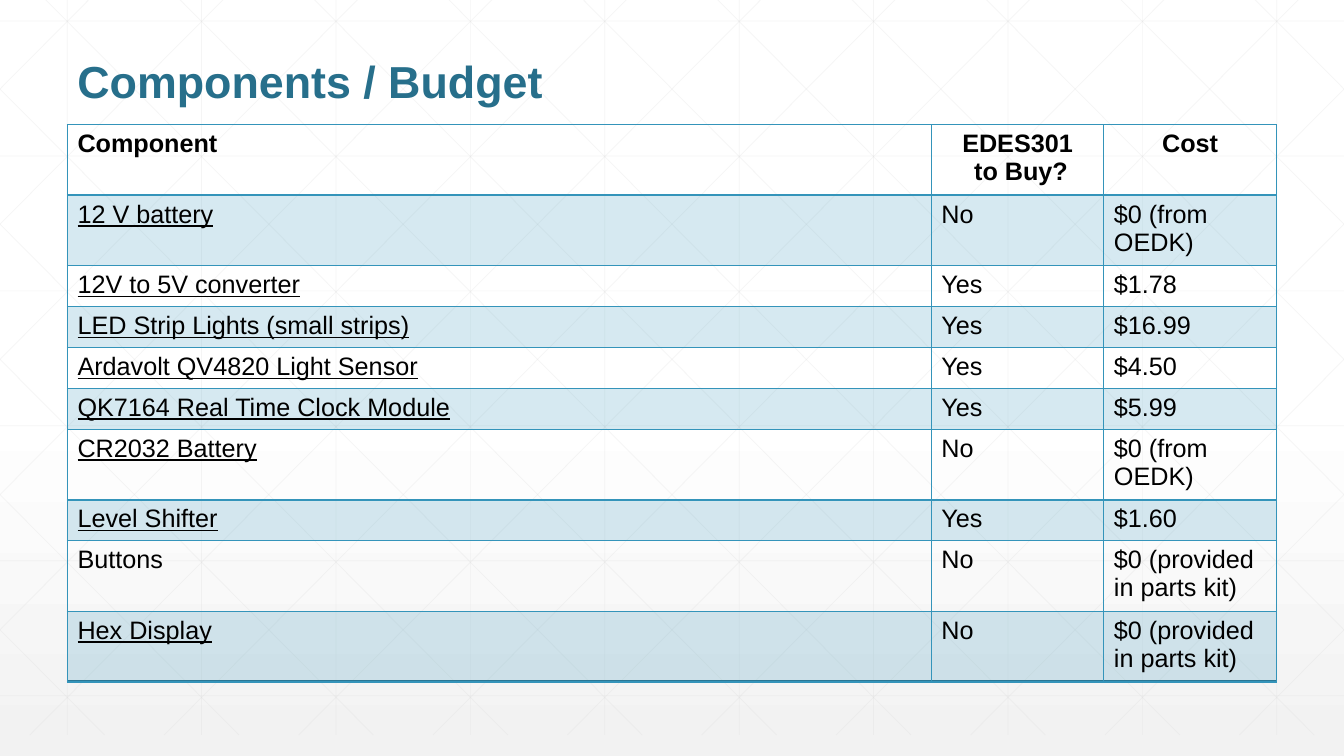
from pptx import Presentation
from pptx import util as u
from pptx.dml.color import RGBColor
from pptx.enum import shapes, text
from pptx.oxml.ns import qn
from lxml import etree
from copy import deepcopy

WHITE = RGBColor(0xFF, 0xFF, 0xFF)
PALE = RGBColor(0xF2, 0xF2, 0xF2)
GREY = RGBColor(0xD9, 0xD9, 0xD9)
TEAL = RGBColor(0x27, 0x6F, 0x8B)
BLUE = RGBColor(0x34, 0x94, 0xBA)
BLACK = RGBColor(0, 0, 0)

WIDE, HIGH = 33.87, 19.05
COLS = [21.77, 4.35, 4.35]
HEAD = [["Component"], ["EDES301", " to Buy?"], ["Cost"]]
ITEMS = [
    ("12 V battery", "No", "$0 (from OEDK)"),
    ("12V to 5V converter", "Yes", "$1.78"),
    ("LED Strip Lights (small strips)", "Yes", "$16.99"),
    ("Ardavolt QV4820 Light Sensor", "Yes", "$4.50"),
    ("QK7164 Real Time Clock Module", "Yes", "$5.99"),
    ("CR2032 Battery", "No", "$0 (from OEDK)"),
    ("Level Shifter", "Yes", "$1.60"),
    ("Buttons", "No", "$0 (provided in parts kit)"),
    ("Hex Display", "No", "$0 (provided in parts kit)"),
]
PLAIN = {"Buttons"}


def fade(node, pct):
    """Set the opacity of the first colour inside a node."""
    clr = node.find(".//" + qn("a:srgbClr"))
    etree.SubElement(clr, qn("a:alpha"), val=str(pct * 1000))


def rule(slide, start, end, color, width):
    """Draw a straight line between two points given in cm."""
    line = slide.shapes.add_connector(
        shapes.MSO_CONNECTOR.STRAIGHT, *[u.Cm(v) for v in (*start, *end)])
    line.line.color.rgb = color
    line.line.width = u.Pt(width)
    etree.SubElement(line._element.spPr, qn("a:effectLst"))
    return line


def shade(slide):
    """Fill the background from white down to pale grey."""
    fill = slide.background.fill
    fill.gradient()
    fill.gradient_angle = 270
    first = slide._element.find(".//" + qn("a:gs"))
    first.addnext(deepcopy(first))
    for stop, (pos, color) in zip(
            fill.gradient_stops, [(0, WHITE), (0.53, WHITE), (1, PALE)]):
        stop.position = pos
        stop.color.rgb = color


def mesh(slide, top, high):
    """Draw the faint grid and its crossing diagonals."""
    gap, base, run = WIDE / 10, top + high, 18.94
    ends = []
    for i in range(10):
        x = gap * (i + 0.5)
        ends.append(((x, top), (x, base)))
    for i in range(6):
        y = 0.53 + 3.4 * i
        ends.append(((0, y), (WIDE, y)))
    slants = []
    for i in range(-5, 10):
        x = 0.63 + gap * i
        left, right = max(x, 0), min(x + run, WIDE)
        slants.append([(p, top + (p - x) * high / run) for p in (left, right)])
    ends += slants
    ends += [[(WIDE - x, y) for x, y in pair] for pair in slants]
    for start, end in ends:
        fade(rule(slide, start, end, GREY, 0.5).line._ln, 25)


def write(para, words, size, color, bold=False, under=False):
    """Add one run of Arial text to a paragraph."""
    run = para.add_run()
    run.text = words
    font = run.font
    font.name, font.size = "Arial", u.Pt(size)
    font.bold, font.underline = bold, under
    font.color.rgb = color


def title(slide, left, top, wide, high):
    """Place the slide title at the bottom of its box."""
    box = slide.shapes.add_textbox(*[u.Cm(v) for v in (left, top, wide, high)])
    frame = box.text_frame
    frame.word_wrap = True
    frame.vertical_anchor = text.MSO_ANCHOR.BOTTOM
    para = frame.paragraphs[0]
    para.line_spacing = 0.9
    write(para, "Components / Budget", 32, TEAL, bold=True)


def edge(cell, row):
    """Outline a cell, with a thicker line below the header."""
    props = cell._tc.get_or_add_tcPr()
    thick = {(0, "B"), (1, "T")}
    for side in "LRTB":
        width = u.Pt(2 if (row, side) in thick else 1)
        line = etree.SubElement(props, qn("a:ln" + side), w=str(width))
        solid = etree.SubElement(line, qn("a:solidFill"))
        etree.SubElement(solid, qn("a:srgbClr"), val=str(BLUE))


def budget(slide, left, top, high):
    """Build the parts table with banded rows."""
    rows = [HEAD] + [[[word] for word in item] for item in ITEMS]
    table = slide.shapes.add_table(
        len(rows), len(COLS), u.Cm(left), u.Cm(top),
        u.Cm(sum(COLS)), u.Cm(high * len(rows))).table
    for col, wide in zip(table.columns, COLS):
        col.width = u.Cm(wide)
    for r, row in enumerate(rows):
        table.rows[r].height = u.Cm(high)
        for c, lines in enumerate(row):
            cell = table.cell(r, c)
            edge(cell, r)
            if r % 2:
                cell.fill.solid()
                cell.fill.fore_color.rgb = BLUE
                fade(cell._tc.tcPr.find(qn("a:solidFill")), 20)
            else:
                cell.fill.background()
            frame = cell.text_frame
            for i, words in enumerate(lines):
                para = frame.add_paragraph() if i else frame.paragraphs[0]
                if r == 0 and c:
                    para.alignment = text.PP_ALIGN.CENTER
                under = r > 0 and c == 0 and words not in PLAIN
                write(para, words, 18, BLACK, r == 0, under)


def main():
    """Build the budget slide and save it."""
    deck = Presentation()
    deck.slide_width, deck.slide_height = u.Cm(WIDE), u.Cm(HIGH)
    slide = deck.slides.add_slide(deck.slide_layouts[6])
    shade(slide)
    mesh(slide, -0.53, HIGH)
    rule(slide, (1.7, 17.14), (32.18, 17.14), TEAL, 1)
    title(slide, 1.7, 0.3, 30.48, 2.54)
    budget(slide, 1.7, 3.14, 1.03)
    deck.save("out.pptx")


if __name__ == "__main__":
    main()
